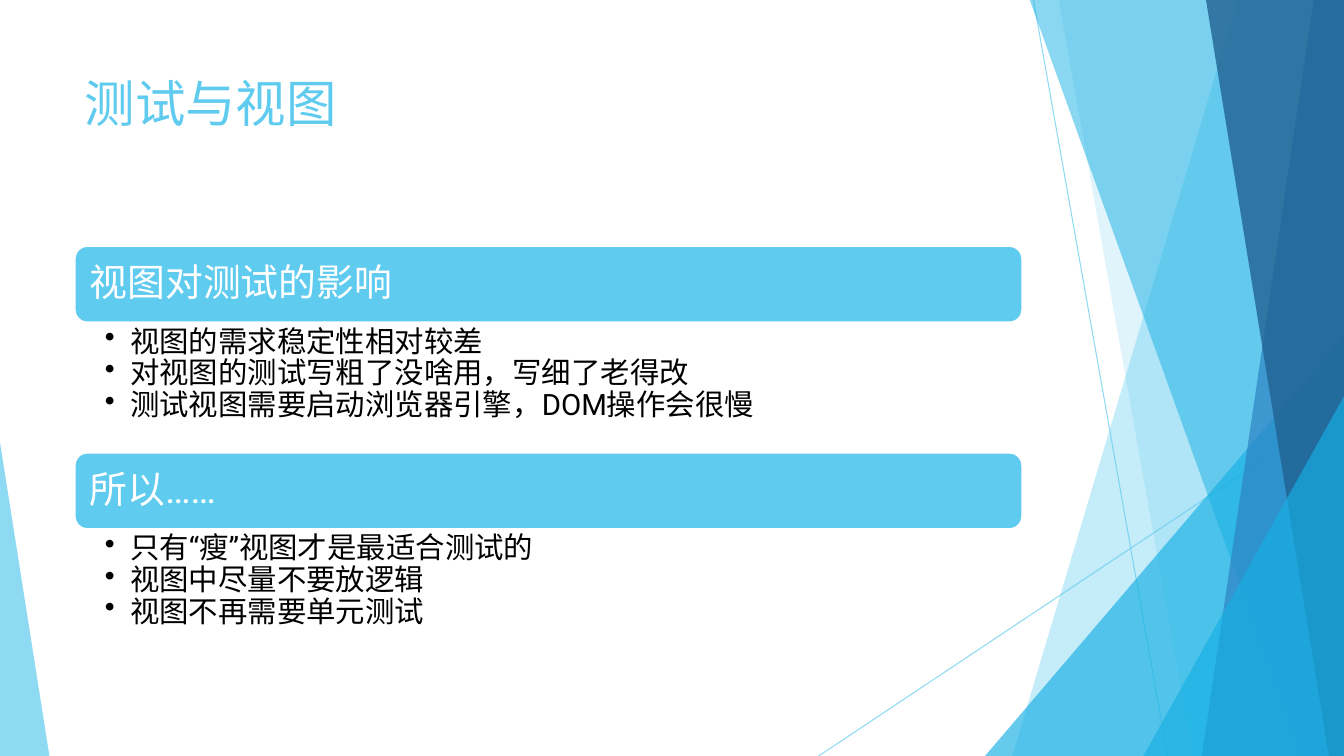
from lxml import etree
from pptx import Presentation
from pptx.dml.color import RGBColor
from pptx.enum.lang import MSO_LANGUAGE_ID as LANG
from pptx.enum.shapes import MSO_CONNECTOR as CONN, MSO_SHAPE as SHAPE
from pptx.enum.text import MSO_ANCHOR as ANCHOR, PP_ALIGN as ALIGN
from pptx.oxml.ns import qn
from pptx.util import Inches, Pt

SKY = RGBColor(0x5F, 0xCB, 0xEF)
CYAN = RGBColor(0x17, 0xB0, 0xE4)
BLUE = RGBColor(0x2E, 0x83, 0xC3)
NAVY = RGBColor(0x22, 0x62, 0x92)
WHITE = RGBColor(0xFF, 0xFF, 0xFF)
BLACK = RGBColor(0, 0, 0)
WIDTH, HEIGHT = 13.33, 7.5
LEFT, BODY_W = 0.74, 9.4

SECTIONS = [
    ("视图对测试的影响", [
        "视图的需求稳定性相对较差",
        "对视图的测试写粗了没啥用，写细了老得改",
        "测试视图需要启动浏览器引擎，DOM操作会很慢",
    ]),
    ("所以……", [
        "只有“瘦”视图才是最适合测试的",
        "视图中尽量不要放逻辑",
        "视图不再需要单元测试",
    ]),
]


class SlideBuilder:
    font = "Roboto"

    def __init__(self, slide):
        self.s = slide

    def set_alpha(self, fmt, percent):
        color = fmt._xPr.find(".//" + qn("a:srgbClr"))
        etree.SubElement(color, qn("a:alpha")).set("val", str(percent * 1000))

    def paint(self, sp, color, alpha=100):
        sp.shadow.inherit = False
        sp.fill.solid()
        sp.fill.fore_color.rgb = color
        sp.line.fill.background()
        if alpha < 100:
            self.set_alpha(sp.fill, alpha)

    def line(self, x1, y1, x2, y2, color, alpha):
        cxn = self.s.shapes.add_connector(
            CONN.STRAIGHT, Inches(x1), Inches(y1), Inches(x2), Inches(y2))
        cxn.line.color.rgb = color
        cxn.line.width = Pt(0.75)
        self.set_alpha(cxn.line.fill, alpha)
        etree.SubElement(cxn._element.spPr, qn("a:effectLst"))

    def wedge(self, top_x, bottom_x, color, alpha):
        top = -0.01
        fb = self.s.shapes.build_freeform(Inches(top_x), Inches(top))
        corners = [(WIDTH, top), (WIDTH, HEIGHT), (bottom_x, HEIGHT)]
        fb.add_line_segments([(Inches(x), Inches(y)) for x, y in corners])
        self.paint(fb.convert_to_shape(), color, alpha)

    def triangle(self, x, y, w, apex, color, alpha):
        sp = self.s.shapes.add_shape(
            SHAPE.ISOSCELES_TRIANGLE, Inches(x), Inches(y), Inches(w), Inches(HEIGHT - y))
        sp.adjustments[0] = apex
        self.paint(sp, color, alpha)

    def bar(self, x, y, w, h):
        sp = self.s.shapes.add_shape(
            SHAPE.ROUNDED_RECTANGLE, Inches(x), Inches(y), Inches(w), Inches(h))
        self.paint(sp, SKY)
        sp.line.color.rgb = WHITE
        sp.line.width = Pt(1.5)

    def format_text(self, tf, lines, size, color, insets, anchor, spacing=1.0):
        frame = dict(zip(("margin_left", "margin_top", "margin_right", "margin_bottom"),
                         map(Inches, insets)))
        frame.update(word_wrap=True, vertical_anchor=anchor)
        for name, value in frame.items():
            setattr(tf, name, value)
        font = dict(name=self.font, size=Pt(size), language_id=LANG.SIMPLIFIED_CHINESE)
        para = dict(alignment=ALIGN.LEFT, line_spacing=spacing,
                    space_before=Pt(0), space_after=Pt(0))
        for i, text in enumerate(lines):
            p = tf.add_paragraph() if i else tf.paragraphs[0]
            for name, value in para.items():
                setattr(p, name, value)
            r = p.add_run()
            r.text = text
            for name, value in font.items():
                setattr(r.font, name, value)
            r.font.color.rgb = color
            etree.SubElement(r._r.get_or_add_rPr(), qn("a:ea")).set("typeface", self.font)

    def title(self, text, x, y, w, h):
        sp = self.s.shapes.title
        box = dict(left=x, top=y, width=w, height=h)
        for name, value in box.items():
            setattr(sp, name, Inches(value))
        self.format_text(sp.text_frame, [text], 36, SKY, (0.1, 0.05, 0.1, 0.05), ANCHOR.TOP)

    def text(self, lines, x, y, w, h, **style):
        sp = self.s.shapes.add_textbox(Inches(x), Inches(y), Inches(w), Inches(h))
        self.format_text(sp.text_frame, lines, spacing=0.9, **style)
        return sp.text_frame

    def bullets(self, lines, x, y, w, h):
        tf = self.text(lines, x, y, w, h, size=21, color=BLACK,
                       insets=(0.3, 0.04, 0.21, 0.04), anchor=ANCHOR.TOP)
        for p in tf.paragraphs:
            p.level = 1
            pPr = p._p.get_or_add_pPr()
            pPr.set("marL", str(Inches(0.25)))
            pPr.set("indent", str(Inches(-0.25)))
            etree.SubElement(pPr, qn("a:buChar")).set("char", "•")


def main():
    prs = Presentation()
    prs.slide_width, prs.slide_height = Inches(WIDTH), Inches(HEIGHT)
    b = SlideBuilder(prs.slides.add_slide(prs.slide_layouts[5]))

    b.line(10.25, 0, 11.58, HEIGHT, SKY, 70)
    b.line(WIDTH, 4.03, 8.12, HEIGHT, SKY, 70)
    b.wedge(12.28, 10.04, SKY, 36)
    b.wedge(10.5, 11.83, SKY, 20)
    b.triangle(9.77, 3.33, 3.56, 1, CYAN, 66)
    b.wedge(10.21, 12.91, CYAN, 50)
    b.wedge(13.03, 11.92, BLUE, 70)
    b.wedge(11.96, 13.18, NAVY, 80)
    b.triangle(11.34, 3.93, 1.99, 1, CYAN, 66)
    b.triangle(0, 4.39, 0.49, 0, SKY, 70)

    b.title("测试与视图", LEFT, 0.67, BODY_W, 1.44)

    bar_h, list_h, pad = 0.76, 1.28, 0.04
    for i, (heading, points) in enumerate(SECTIONS):
        y = 2.44 + i * 2.05
        b.bar(LEFT, y, BODY_W, bar_h)
        b.text([heading], LEFT + pad, y + pad, BODY_W - 2 * pad, bar_h - 2 * pad,
               size=27, color=WHITE, insets=(0.11,) * 4, anchor=ANCHOR.MIDDLE)
        b.bullets(points, LEFT, y + bar_h, BODY_W, list_h)

    prs.save("out.pptx")


if __name__ == "__main__":
    main()
